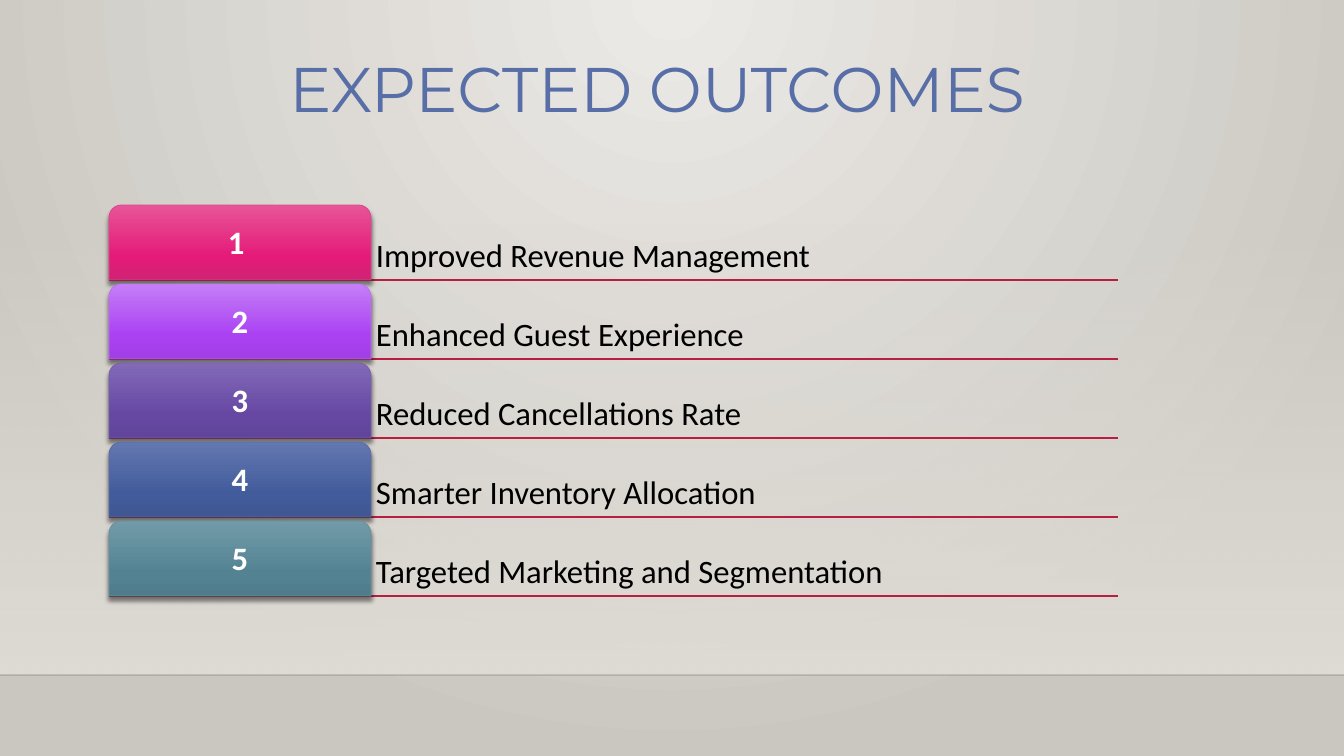
from dataclasses import dataclass

from lxml import etree
from pptx import Presentation
from pptx.dml.color import RGBColor
from pptx.enum.shapes import MSO_CONNECTOR, MSO_SHAPE
from pptx.enum.text import MSO_ANCHOR, PP_ALIGN
from pptx.oxml.ns import qn
from pptx.util import Pt

RECT = MSO_SHAPE.RECTANGLE
TAB = MSO_SHAPE.ROUND_2_SAME_RECTANGLE
LINE = MSO_CONNECTOR.STRAIGHT
TOP, MID, LOW = MSO_ANCHOR.TOP, MSO_ANCHOR.MIDDLE, MSO_ANCHOR.BOTTOM
LEFT, MIDDLE = PP_ALIGN.LEFT, PP_ALIGN.CENTER
SCALE = 914400 / 84


@dataclass(frozen=True)
class Theme:
    head: str = "Montserrat"
    body: str = "Calibri"
    big: int = 54
    size: int = 28
    title: str = "586EA6"
    ink: str = "000000"
    white: str = "FFFFFF"
    rule: str = "B71E42"
    edge: str = "000001"
    back: tuple = ((0, "ECEAE7", 100), (100, "CAC7C1", 100))
    wall: tuple = ((0, "DFDBD5", 0), (100, "DFDBD5", 100))
    tabs: tuple = (
        ("E75597", "E51A79", "CF2374", "DE478E"),
        ("C57FF7", "AA41F3", "A13FE5", "BC72F0"),
        ("836AB8", "6648A3", "60459A", "795FAF"),
        ("6378B0", "425B9B", "3F5793", "586EA6"),
        ("729BA9", "538393", "4F7C8B", "6892A0"),
    )


ROWS = (
    ("1 ", "Improved Revenue Management"),
    ("2", "Enhanced Guest Experience"),
    ("3", "Reduced Cancellations Rate"),
    ("4", "Smarter Inventory Allocation"),
    ("5", "Targeted Marketing and Segmentation"),
)


def px(*vals):
    return [round(val * SCALE) for val in vals]


def node(base, tag, **attrs):
    return etree.SubElement(base, qn(tag), {key: str(val) for key, val in attrs.items()})


def tint(base, color, alpha):
    node(node(base, "a:srgbClr", val=color), "a:alpha", val=alpha * 1000)


def blend(fill, root, stops, radial=False):
    fill.gradient()
    grad = next(root.iter(qn("a:gradFill")))
    for part in list(grad):
        grad.remove(part)
    group = node(grad, "a:gsLst")
    for place, color, alpha in stops:
        tint(node(group, "a:gs", pos=place * 1000), color, alpha)
    if radial:
        ring = node(grad, "a:path", path="circle")
        node(ring, "a:fillToRect", l=43000, t=0, r=43000, b=100000)
    else:
        node(grad, "a:lin", ang=5400000, scaled=0)


def write(shape, text, font, size, color, bold=False, align=LEFT, anchor=TOP, space=1.0, inset=(5, 5)):
    frame = shape.text_frame
    frame.word_wrap = True
    frame.vertical_anchor = anchor
    side, edge = px(*inset)
    frame.margin_left = frame.margin_right = side
    frame.margin_top = frame.margin_bottom = edge
    para = frame.paragraphs[0]
    para.alignment = align
    para.line_spacing = space
    run = para.add_run()
    run.text = text
    run.font.name = font
    run.font.size = Pt(size)
    run.font.bold = bold
    run.font.color.rgb = RGBColor.from_string(color)


class Deck:
    def __init__(self, theme):
        self.theme = theme
        self.file = Presentation()
        self.file.slide_width, self.file.slide_height = px(1344, 756)
        self.slide = self.file.slides.add_slide(self.file.slide_layouts[5])
        self.shapes = self.slide.shapes
        blend(self.slide.background.fill, self.slide.element, theme.back, radial=True)

    def title(self, text, box):
        shape = self.shapes.title
        shape.left, shape.top, shape.width, shape.height = px(*box)
        write(shape, text, self.theme.head, self.theme.big, self.theme.title,
              align=MIDDLE, inset=(8, 4))

    def panel(self, kind, box, stops):
        shape = self.shapes.add_shape(kind, *px(*box))
        blend(shape.fill, shape.element.spPr, stops)
        shape.line.fill.background()
        shape.shadow.inherit = False
        return shape

    def tab(self, text, box, colors):
        *shades, edge = colors
        stops = [(place, shade, 100) for place, shade in zip((0, 69, 100), shades)]
        shape = self.panel(TAB, box, stops)
        shape.line.color.rgb = RGBColor.from_string(edge)
        shape.line.width = Pt(0.75)
        effect = shape.element.spPr.find(qn("a:effectLst"))
        shade = node(effect, "a:outerShdw", blurRad=Pt(4), dist=Pt(4),
                     dir=5400000, algn="ctr", rotWithShape=0)
        tint(shade, self.theme.ink, 48)
        write(shape, text, self.theme.body, self.theme.size, self.theme.white,
              bold=True, align=MIDDLE, anchor=MID, space=0.9)

    def label(self, text, box):
        shape = self.shapes.add_textbox(*px(*box))
        write(shape, text, self.theme.body, self.theme.size, self.theme.ink,
              anchor=LOW, space=0.9)

    def rule(self, left, right, top, color, width, alpha=100):
        line = self.shapes.add_connector(LINE, *px(left, top, right, top))
        line.line.color.rgb = RGBColor.from_string(color)
        line.line.width = Pt(width)
        props = line.element.spPr
        node(next(props.iter(qn("a:srgbClr"))), "a:alpha", val=alpha * 1000)
        node(props, "a:effectLst")

    def save(self):
        self.file.save("out.pptx")


def main():
    theme = Theme()
    deck = Deck(theme)
    deck.panel(RECT, (0, 223, 1344, 452), theme.wall)
    deck.rule(0, 1344, 675, theme.edge, 1, alpha=20)
    deck.title("EXPECTED OUTCOMES", (213, 45, 888, 136))
    left, split, right, first, step, high = 109, 371, 1118, 205, 79, 75
    tops = [first + step * row for row in range(len(ROWS))]
    for top in tops:
        deck.rule(left, right, top + high, theme.rule, 1.25)
    for top, (mark, text), colors in zip(tops, ROWS, theme.tabs):
        deck.label(text, (split, top, right - split, high))
        deck.tab(mark, (left, top, split - left, high), colors)
    deck.save()


if __name__ == "__main__":
    main()
